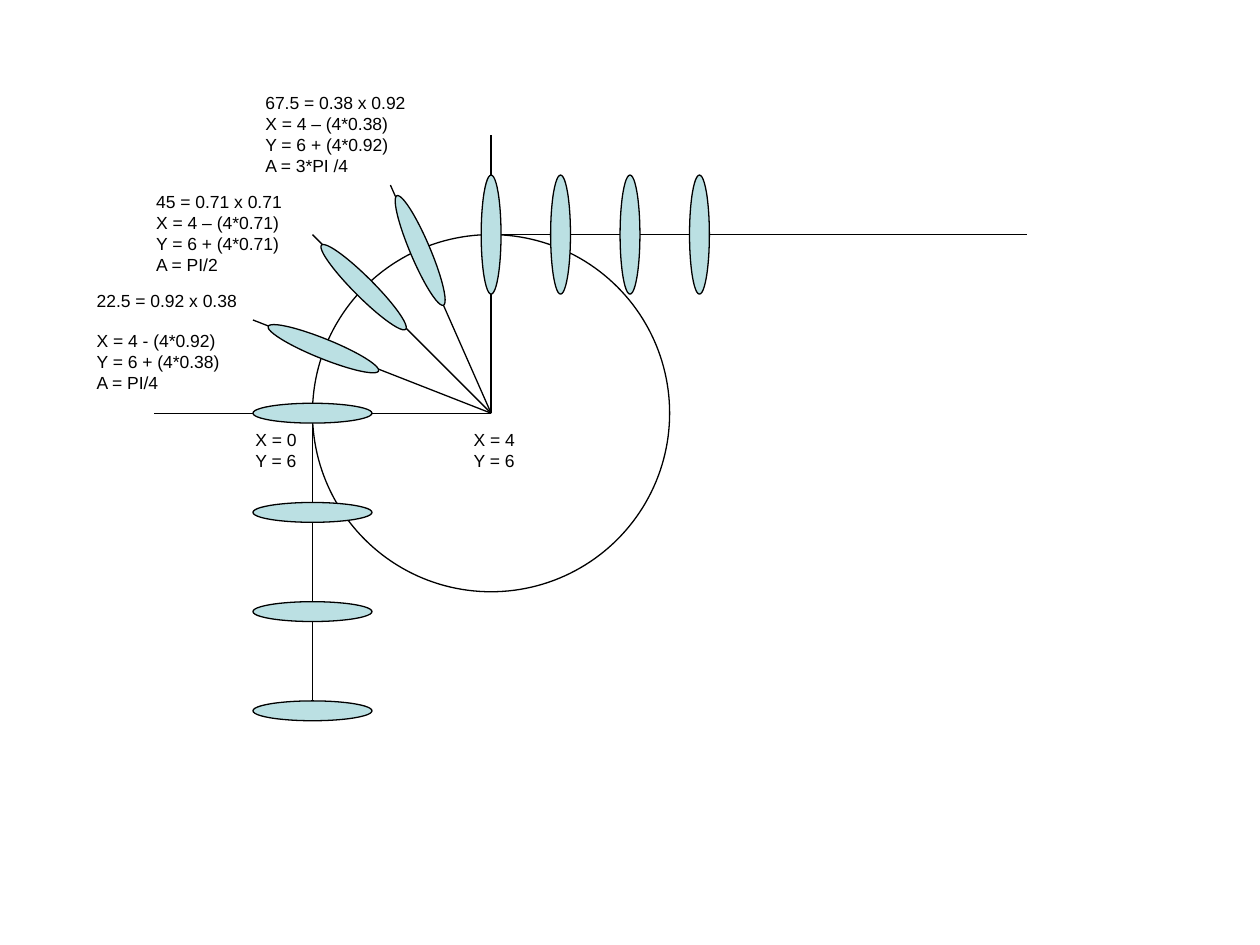
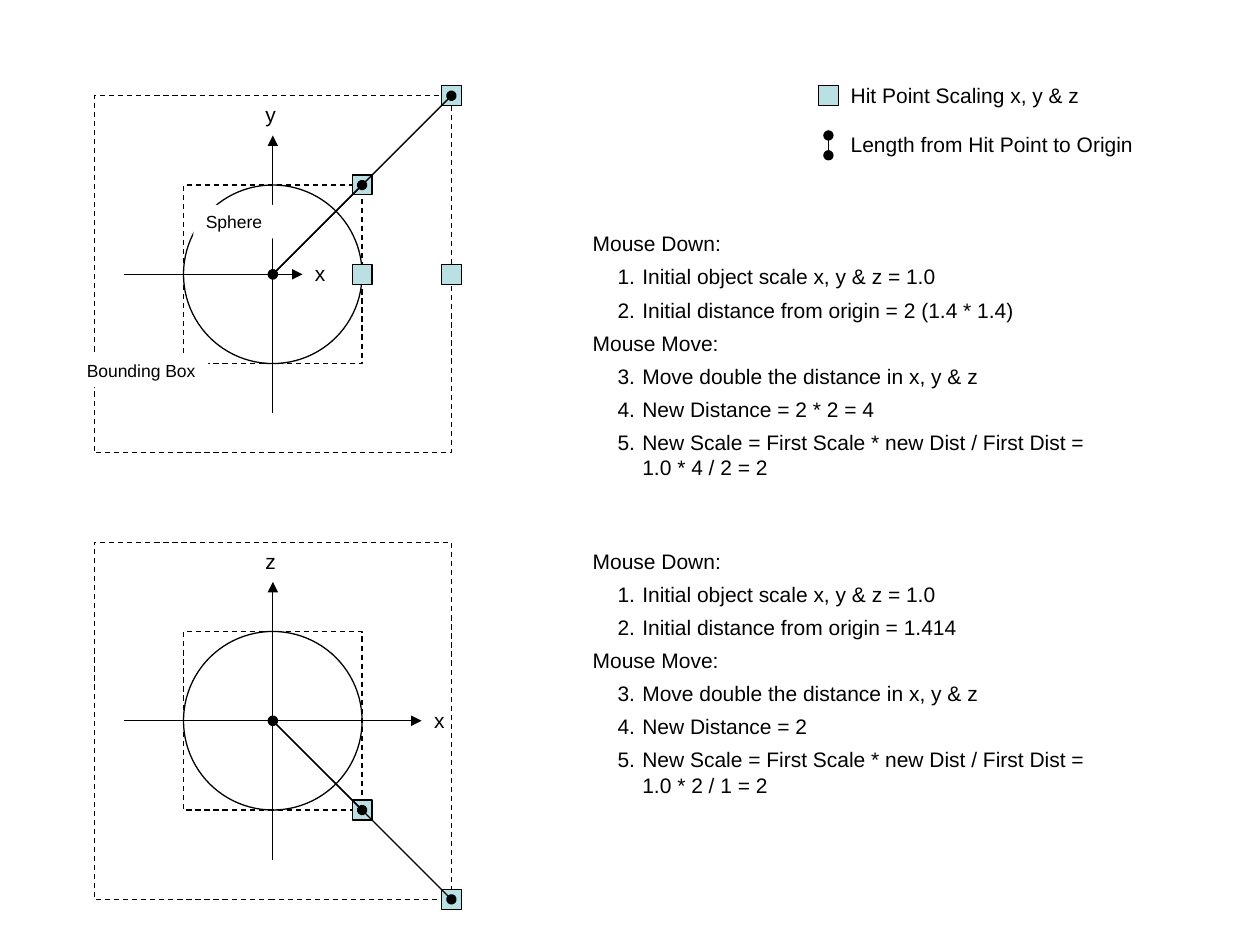
from dataclasses import dataclass

from lxml.etree import SubElement
from pptx import Presentation
from pptx.dml.color import RGBColor
from pptx.enum.dml import MSO_LINE
from pptx.enum.shapes import MSO_CONNECTOR, MSO_SHAPE
from pptx.enum.text import MSO_AUTO_SIZE, PP_ALIGN
from pptx.oxml.ns import qn
from pptx.util import Cm, Pt


@dataclass(frozen=True)
class Theme:
    ink: RGBColor = RGBColor(0x00, 0x00, 0x00)
    accent: RGBColor = RGBColor(0xBB, 0xE0, 0xE3)
    paper: RGBColor = RGBColor(0xFF, 0xFF, 0xFF)
    font: str = "Arial"
    small: float = 10
    normal: float = 12
    item_gap: float = 4.5
    stroke: float = 0.75


THEME = Theme()


# Repeated elements; all lengths are in centimetres
@dataclass(frozen=True)
class Label:
    text: str
    x: float
    y: float
    width: float
    size: float = THEME.normal
    fill: RGBColor | None = None


@dataclass(frozen=True)
class Figure:
    """A preset shape placed by its centre."""
    kind: MSO_SHAPE
    x: float
    y: float
    width: float
    height: float
    fill: RGBColor | None = None
    angle: float = 0
    dashed: bool = False


@dataclass(frozen=True)
class Line:
    x1: float
    y1: float
    x2: float
    y2: float
    head: str | None = None
    tail: str | None = None


@dataclass(frozen=True)
class View:
    """One projection of the sphere, with its scaling steps."""
    y: float
    up_axis: str
    x_axis_end: float
    ray_direction: int
    steps_y: float
    distance: str
    new_distance: str
    new_scale: str


# Drawing functions
def draw_figure(slide, fig: Figure) -> None:
    s = slide.shapes.add_shape(fig.kind, Cm(fig.x - fig.width / 2), Cm(fig.y - fig.height / 2),
                               Cm(fig.width), Cm(fig.height))
    s.shadow.inherit = False
    s.rotation = fig.angle
    if fig.fill is None:
        s.fill.background()
    else:
        s.fill.solid()
        s.fill.fore_color.rgb = fig.fill
    s.line.color.rgb = THEME.ink
    s.line.width = Pt(THEME.stroke)
    if fig.dashed:
        s.line.dash_style = MSO_LINE.DASH


def draw_line(slide, line: Line) -> None:
    s = slide.shapes.add_connector(MSO_CONNECTOR.STRAIGHT, Cm(line.x1), Cm(line.y1),
                                   Cm(line.x2), Cm(line.y2))
    s.line.color.rgb = THEME.ink
    s.line.width = Pt(THEME.stroke)
    props = s._element.spPr
    outline = props.find(qn("a:ln"))
    for tag, end in (("a:headEnd", line.head), ("a:tailEnd", line.tail)):
        if end:
            SubElement(outline, qn(tag), type=end)
    SubElement(props, qn("a:effectLst"))


def format_runs(p, size: float) -> None:
    p.alignment = PP_ALIGN.LEFT
    for r in p.runs:
        r.font.name = THEME.font
        r.font.size = Pt(size)
        r.font.color.rgb = THEME.ink


def add_text_frame(slide, x: float, y: float, width: float, height: float,
                   fill: RGBColor | None = None):
    s = slide.shapes.add_textbox(Cm(x), Cm(y), Cm(width), Cm(height))
    if fill is not None:
        s.fill.solid()
        s.fill.fore_color.rgb = fill
    tf = s.text_frame
    tf.word_wrap = True
    tf.auto_size = MSO_AUTO_SIZE.NONE
    tf.margin_right = 0  # leaves each line room to stay whole
    return tf


def draw_label(slide, label: Label) -> None:
    lines = label.text.count("\n") + 1
    height = 0.25 + lines * label.size * 0.0425
    tf = add_text_frame(slide, label.x, label.y, label.width, height, label.fill)
    tf.text = label.text
    for p in tf.paragraphs:
        format_runs(p, label.size)


def number_paragraph(p, start: int) -> None:
    p.level = 1
    props = p._p.get_or_add_pPr()
    props.set("marL", str(Cm(1)))
    props.set("indent", str(Cm(-0.5)))
    colour = SubElement(props, qn("a:buClr"))
    SubElement(colour, qn("a:srgbClr"), val=str(THEME.ink))
    SubElement(props, qn("a:buFontTx"))
    SubElement(props, qn("a:buAutoNum"), type="arabicPeriod", startAt=str(start))


def draw_steps(slide, view: View) -> None:
    tf = add_text_frame(slide, 11.7, view.steps_y, 10.6, 5.28)
    # Each entry holds its text and the first number of its list, 0 for a heading
    entries = [
        ("Mouse Down:", 0),
        ("Initial object scale x, y & z = 1.0", 1),
        (f"Initial distance from origin = {view.distance}", 1),
        ("Mouse Move:", 0),
        ("Move double the distance in x, y & z", 3),
        (f"New Distance = {view.new_distance}", 3),
        (f"New Scale = First Scale * new Dist / First Dist = \n{view.new_scale}", 3),
    ]
    for i, (text, start) in enumerate(entries):
        p = tf.add_paragraph() if i else tf.paragraphs[0]
        p.text = text
        if start:
            number_paragraph(p, start)
        if i:
            p.space_before = Pt(THEME.item_gap)
        format_runs(p, THEME.normal)


# Slide 1: ovals travelling up a line, round a quarter circle and along a line
HUB_X, HUB_Y, RADIUS = 9.9, 8.33, 3.6
LEFT_X, TOP_Y = HUB_X - RADIUS, HUB_Y - RADIUS

SPOKE_ENDS = [(HUB_X, 2.73), (3.1, HUB_Y), (LEFT_X, TOP_Y), (7.87, 3.73), (5.1, 6.45)]

OVAL_STOPS = (
    [(LEFT_X, HUB_Y + 2 * i, 0) for i in range(4)]
    + [(6.52, 7.03, 22), (7.33, 5.79, 45), (8.47, 5.05, 67)]
    + [(HUB_X + 1.4 * i, TOP_Y, 90) for i in range(4)]
)

PATH_LABELS = [
    Label("45 = 0.71 x 0.71\nX = 4 – (4*0.71)\nY = 6 + (4*0.71)\nA = PI/2",
          2.9, 3.73, 3.02, THEME.small),
    Label("22.5 = 0.92 x 0.38", 1.7, 5.72, 3.33, THEME.small),
    Label("67.5 = 0.38 x 0.92\nX = 4 – (4*0.38)\nY = 6 + (4*0.92)\nA = 3*PI /4",
          5.1, 1.73, 3.33, THEME.small),
    Label("X = 0\nY = 6", 4.9, 8.53, 1.32, THEME.small),
    Label("X = 4\nY = 6", 9.3, 8.53, 1.32, THEME.small),
    Label("X = 4 - (4*0.92)\nY = 6 + (4*0.38)\nA = PI/4", 1.7, 6.53, 2.97, THEME.small),
]


def build_path_slide(slide) -> None:
    draw_figure(slide, Figure(MSO_SHAPE.OVAL, HUB_X, HUB_Y, 2 * RADIUS, 2 * RADIUS))
    draw_line(slide, Line(LEFT_X, HUB_Y, LEFT_X, 14.33))
    draw_line(slide, Line(HUB_X, TOP_Y, 20.7, TOP_Y))
    for x, y in SPOKE_ENDS:
        draw_line(slide, Line(HUB_X, HUB_Y, x, y))
    for x, y, angle in OVAL_STOPS:
        draw_figure(slide, Figure(MSO_SHAPE.OVAL, x, y, 2.4, 0.4, THEME.accent, angle))
    for label in PATH_LABELS:
        draw_label(slide, label)


# Slide 2: scaling a sphere from hit points on its bounding box
ORIGIN_X, AXIS_REACH = 5.5, 2.8
BOX_REACHES = (1.8, 3.6)  # before and after scaling

VIEWS = [
    View(5.53, "y", 6.1, -1, 4.53, "2 (1.4 * 1.4)", "2 * 2 = 4", "1.0 * 4 / 2 = 2"),
    View(14.53, "z", 8.5, 1, 10.93, "1.414", "2", "1.0 * 2 / 1 = 2"),
]

SCALING_LABELS = [
    Label("Sphere", 3.9, 4.13, 1.63, THEME.small, THEME.paper),
    Label("Bounding Box", 1.5, 7.13, 2.7, THEME.small, THEME.paper),
    Label("Hit Point Scaling x, y & z", 16.9, 1.53, 5.1),
    Label("Length from Hit Point to Origin", 16.9, 2.53, 6.2),
]


def draw_hit_point(slide, x: float, y: float) -> None:
    draw_figure(slide, Figure(MSO_SHAPE.RECTANGLE, x, y, 0.4, 0.4, THEME.accent))


def draw_view(slide, view: View) -> None:
    diameter = 2 * BOX_REACHES[0]
    draw_figure(slide, Figure(MSO_SHAPE.OVAL, ORIGIN_X, view.y, diameter, diameter))
    # Axes and their names
    draw_line(slide, Line(2.5, view.y, view.x_axis_end, view.y, tail="triangle"))
    draw_line(slide, Line(ORIGIN_X, view.y + AXIS_REACH, ORIGIN_X, view.y - AXIS_REACH,
                          tail="triangle"))
    draw_label(slide, Label("x", view.x_axis_end, view.y - 0.4, 0.7))
    draw_label(slide, Label(view.up_axis, ORIGIN_X - 0.4, view.y - 3.6, 0.7))
    # Bounding boxes with the hit points on their corners
    for reach in BOX_REACHES:
        corner_x, corner_y = ORIGIN_X + reach, view.y + view.ray_direction * reach
        draw_figure(slide, Figure(MSO_SHAPE.RECTANGLE, ORIGIN_X, view.y, 2 * reach, 2 * reach,
                                  dashed=True))
        draw_hit_point(slide, corner_x, corner_y)
        draw_line(slide, Line(ORIGIN_X, view.y, corner_x, corner_y, "oval", "oval"))
    draw_steps(slide, view)


def build_scaling_slide(slide) -> None:
    for view in VIEWS:
        draw_view(slide, view)
    # Hit points on the sides of the upper boxes
    for reach in BOX_REACHES:
        draw_hit_point(slide, ORIGIN_X + reach, VIEWS[0].y)
    # Legend symbols, then all labels
    draw_hit_point(slide, 16.7, 1.93)
    draw_line(slide, Line(16.7, 3.13, 16.7, 2.73, "oval", "oval"))
    for label in SCALING_LABELS:
        draw_label(slide, label)


def main() -> None:
    prs = Presentation()
    prs.slide_width, prs.slide_height = Cm(25.4), Cm(19.05)
    blank = prs.slide_layouts[6]
    for build in (build_path_slide, build_scaling_slide):
        build(prs.slides.add_slide(blank))
    prs.save("out.pptx")


if __name__ == "__main__":
    main()
